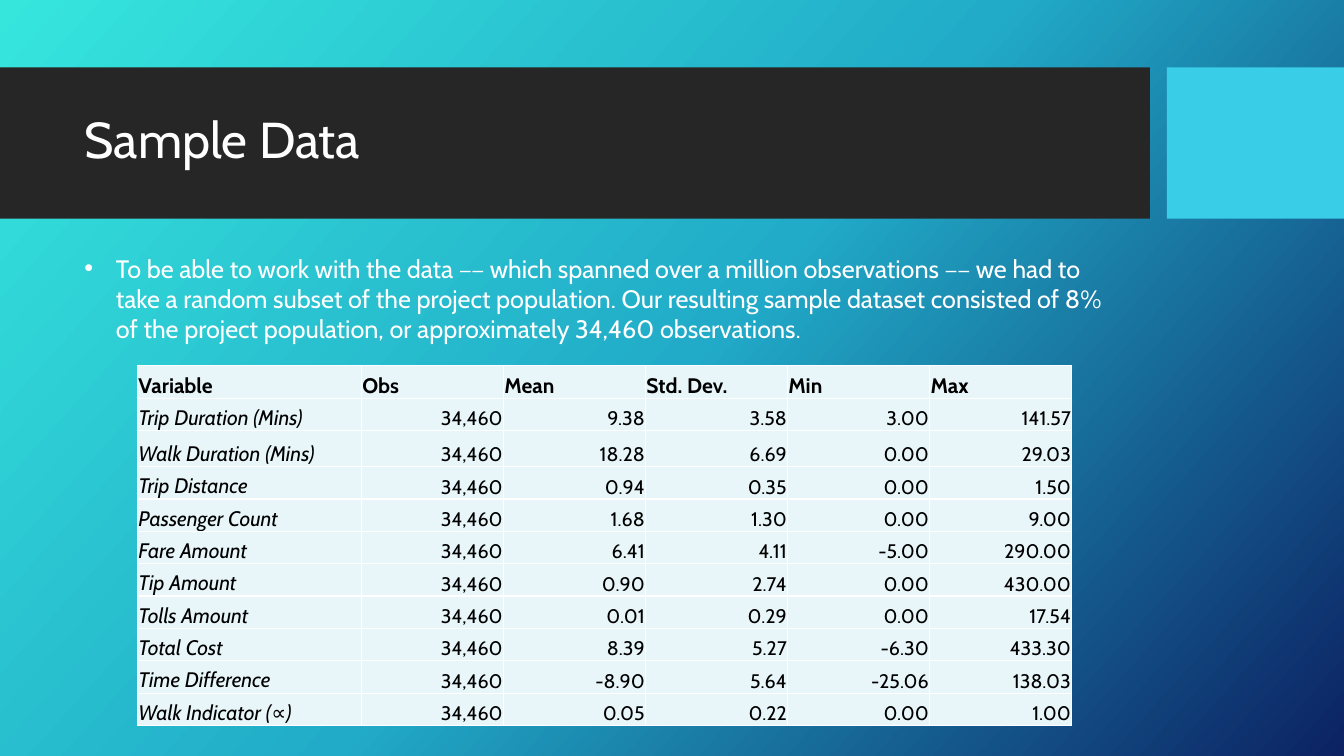
import pptx
import pptx.util
import pptx.dml.color
import pptx.enum.shapes
import pptx.enum.text
import pptx.oxml
import pptx.oxml.ns

Cm, Pt = pptx.util.Cm, pptx.util.Pt
RGB = pptx.dml.color.RGBColor
Align, Anchor = pptx.enum.text.PP_ALIGN, pptx.enum.text.MSO_ANCHOR
qn, nsdecls = pptx.oxml.ns.qn, pptx.oxml.ns.nsdecls

TITLE = "Sample Data"
BODY = [
    ("To be able to work with the data ", "Cabin"),
    ("––", "Cambria"),
    (" which spanned over a million observations ", "Cabin"),
    ("––", "Cambria"),
    (" we had to take a random subset of the project population. Our resulting "
     "sample dataset consisted of 8% of the project population, or "
     "approximately 34,460 observations.", "Cabin"),
]
HEAD = ("Variable", "Obs", "Mean", "Std. Dev.", "Min", "Max")
OBS = "34,460"
STATS = [
    ("Trip Duration (Mins)", "9.38", "3.58", "3.00", "141.57"),
    ("Walk Duration (Mins)", "18.28", "6.69", "0.00", "29.03"),
    ("Trip Distance", "0.94", "0.35", "0.00", "1.50"),
    ("Passenger Count", "1.68", "1.30", "0.00", "9.00"),
    ("Fare Amount", "6.41", "4.11", "-5.00", "290.00"),
    ("Tip Amount", "0.90", "2.74", "0.00", "430.00"),
    ("Tolls Amount", "0.01", "0.29", "0.00", "17.54"),
    ("Total Cost", "8.39", "5.27", "-6.30", "433.30"),
    ("Time Difference", "-8.90", "5.64", "-25.06", "138.03"),
    ("Walk Indicator (∝)", "0.05", "0.22", "0.00", "1.00"),
]

WHITE = RGB(0xFF, 0xFF, 0xFF)
BLACK = RGB(0, 0, 0)
DARK = RGB(0x26, 0x26, 0x26)
CYAN = RGB(0x39, 0xCD, 0xE7)
PALE = RGB(0xE8, 0xF6, 0xFA)
FADE = [(0, RGB(0x36, 0xE6, 0xDD)), (50, RGB(0x21, 0xAB, 0xC8)),
        (100, RGB(0x0C, 0x22, 0x63))]
ANGLE = 42


def paint(slide):
    """Give the slide its three-colour diagonal background."""
    fill = slide.background.fill
    fill.gradient()
    fill.gradient_angle = 360 - ANGLE
    stops = slide.element.find(".//" + qn("a:gsLst"))
    stops.clear()
    for pos, color in FADE:
        stops.append(pptx.oxml.parse_xml(
            f'<a:gs {nsdecls("a")} pos="{pos * 1000}">'
            f'<a:srgbClr val="{color}"/></a:gs>'))


def add_block(slide, left, width, color):
    block = slide.shapes.add_shape(
        pptx.enum.shapes.MSO_SHAPE.RECTANGLE,
        Cm(left), Cm(1.7), Cm(width), Cm(3.81))
    block.shadow.inherit = False
    block.fill.solid()
    block.fill.fore_color.rgb = color
    block.line.fill.background()


def add_text(slide, top, height):
    frame = slide.shapes.add_textbox(
        Cm(1.88), Cm(top), Cm(26.7), Cm(height)).text_frame
    frame.word_wrap = True
    return frame


def style(para, size, color, bold=False, italic=False):
    font = para.font
    font.name, font.size, font.color.rgb = "Cabin", Pt(size), color
    font.bold, font.italic = bold, italic


def bullet(para, indent):
    props = para._p.get_or_add_pPr()
    props.set("marL", str(indent))
    props.set("indent", str(-indent))
    props.insert(0, pptx.oxml.parse_xml(
        f'<a:buChar {nsdecls("a")} char="•"/>'))
    props.insert(0, pptx.oxml.parse_xml(
        f'<a:buFont {nsdecls("a")} typeface="Arial"/>'))


def border(cell):
    props = cell._tc.get_or_add_tcPr()
    for side in ("lnL", "lnR", "lnT", "lnB"):
        props.append(pptx.oxml.parse_xml(
            f'<a:{side} {nsdecls("a")} w="{Pt(1)}"><a:solidFill>'
            f'<a:srgbClr val="{WHITE}"/></a:solidFill></a:{side}>'))


def fill_cell(cell, text, row, col):
    border(cell)
    cell.fill.solid()
    cell.fill.fore_color.rgb = PALE
    cell.vertical_anchor = Anchor.BOTTOM
    cell.margin_left = cell.margin_right = cell.margin_top = Cm(0.02)
    cell.margin_bottom = 0
    cell.text = text
    para = cell.text_frame.paragraphs[0]
    number = row > 0 and col > 0
    style(para, 14 if number else 15, BLACK,
          bold=row == 0, italic=row > 0 and col == 0)
    para.alignment = Align.RIGHT if number else Align.LEFT


def add_stats(slide):
    rows = [HEAD] + [(name, OBS, *nums) for name, *nums in STATS]
    table = slide.shapes.add_table(
        len(rows), len(HEAD), Cm(3.47), Cm(9.22), Cm(23.55), Cm(9.07)).table
    for col, column in enumerate(table.columns):
        column.width = Cm(3.58 if col else 5.64)
    for row, texts in enumerate(rows):
        table.rows[row].height = Cm(0.91 if row == 2 else 0.815)
        for col, text in enumerate(texts):
            fill_cell(table.cell(row, col), text, row, col)


def main():
    deck = pptx.Presentation()
    deck.slide_width, deck.slide_height = Cm(33.87), Cm(19.05)
    slide = deck.slides.add_slide(deck.slide_layouts[6])
    paint(slide)
    add_block(slide, 0, 28.98, DARK)
    add_block(slide, 29.41, 4.46, CYAN)

    frame = add_text(slide, 2.08, 3)
    frame.vertical_anchor = Anchor.MIDDLE
    title = frame.paragraphs[0]
    title.text = TITLE
    title.line_spacing = 0.9
    style(title, 36, WHITE)

    add_stats(slide)

    body = add_text(slide, 6.25, 2.57).paragraphs[0]
    style(body, 18, WHITE)
    bullet(body, Cm(0.79))
    for text, face in BODY:
        run = body.add_run()
        run.text = text
        run.font.name = face

    deck.save("out.pptx")


if __name__ == "__main__":
    main()
